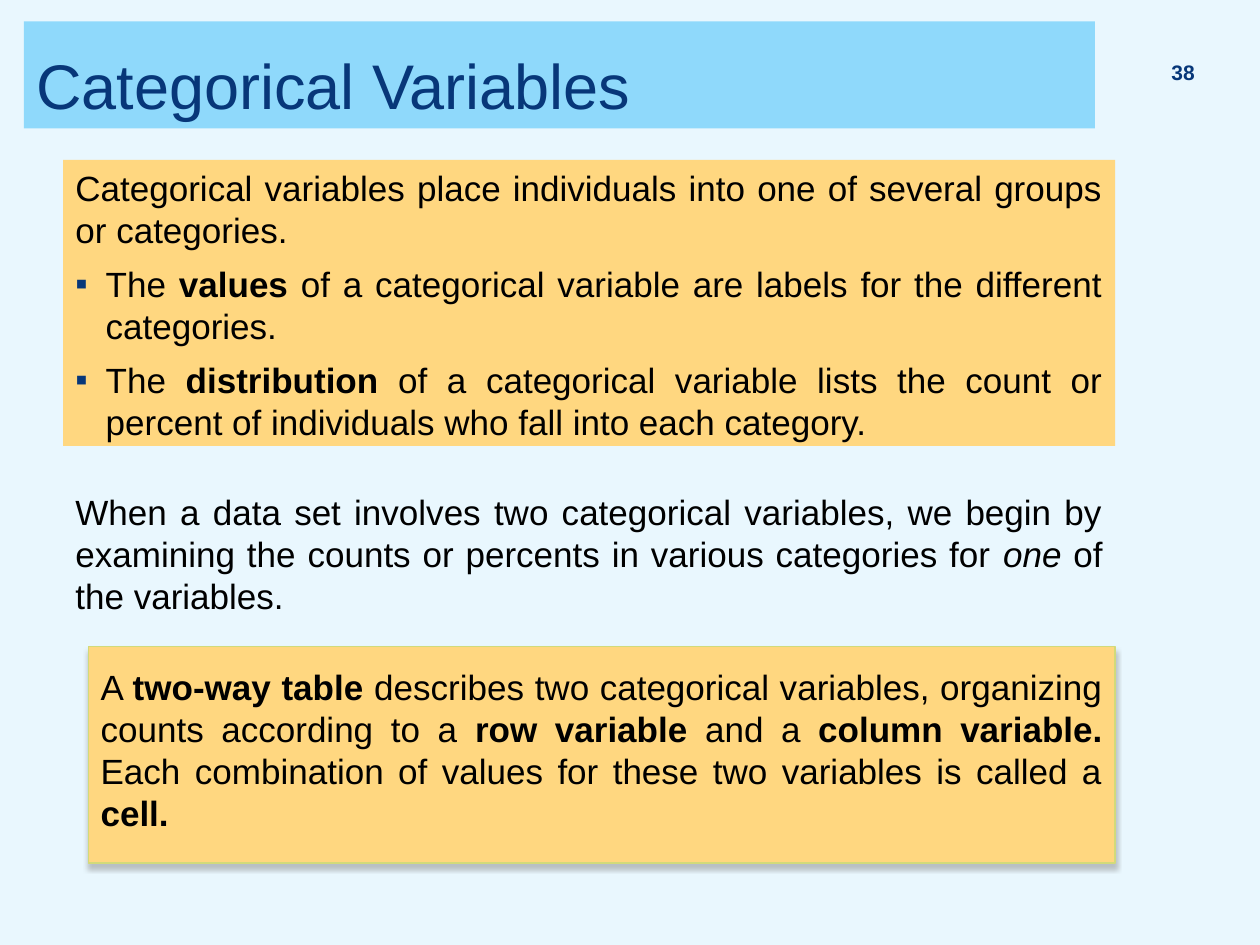
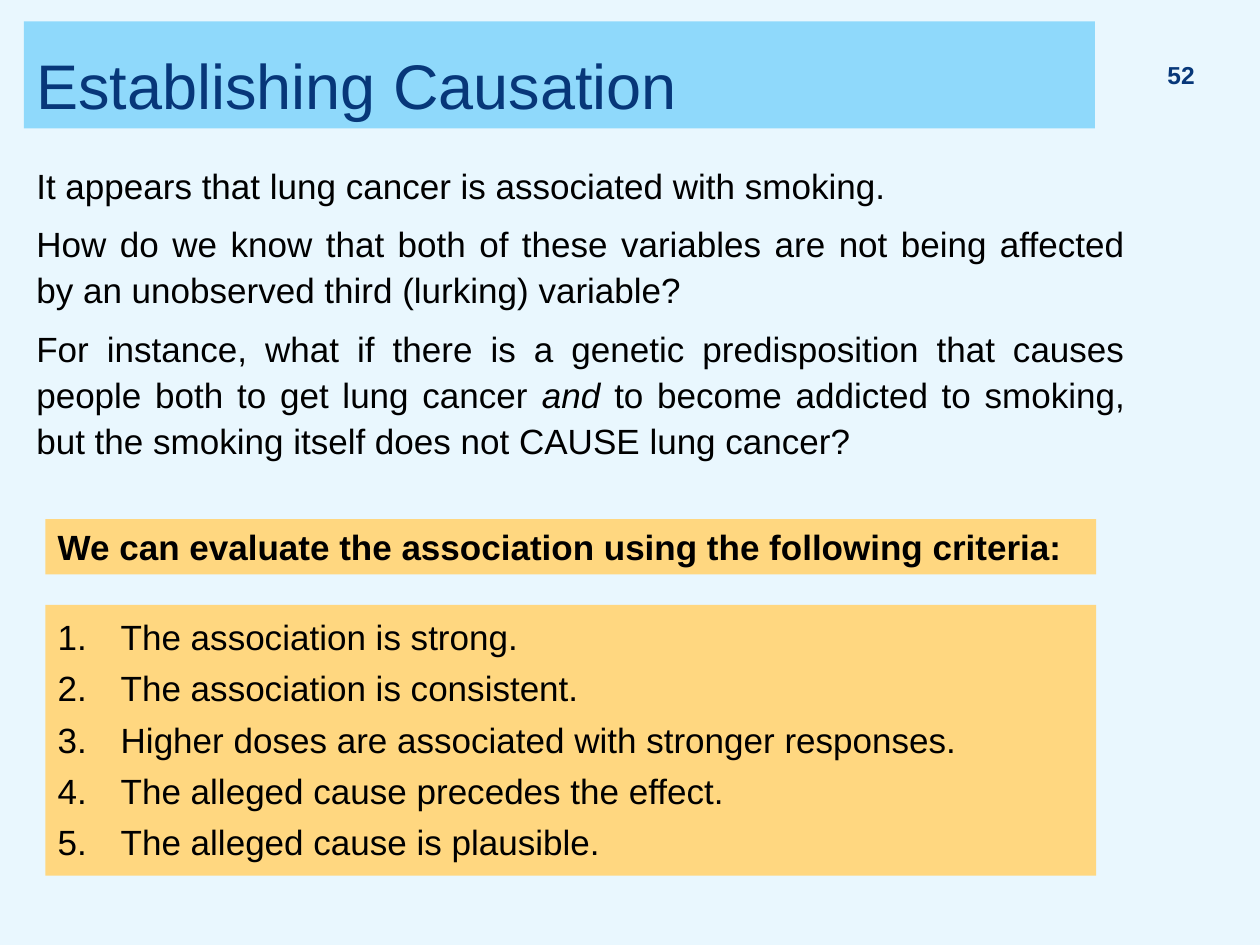
from lxml.etree import SubElement
from pptx import Presentation
from pptx.dml.color import RGBColor
from pptx.enum.shapes import MSO_SHAPE
from pptx.enum.text import MSO_ANCHOR, PP_ALIGN
from pptx.oxml.ns import qn
from pptx.util import Inches, Pt

NAVY, BLACK = "073779", "000000"
SKY, GOLD, PALE = "8FD9FB", "FFD780", "E9F7FE"
OLIVE, GREY = "D2DA7A", "808080"
JUSTIFY, LEFT, RIGHT = PP_ALIGN.JUSTIFY, PP_ALIGN.LEFT, PP_ALIGN.RIGHT


def color(value):
    """Turn a hex string into a colour."""
    return RGBColor.from_string(value)


class LectureDeck:
    """Holds the lecture style and the current slide."""

    def __init__(self):
        self.deck = Presentation()
        self.deck.slide_width, self.deck.slide_height = Inches(10), Inches(7.5)
        self.page = None

    def add_page(self, title, number, number_size=14, number_spacing=1.0):
        """Start a slide with its title band and page number."""
        self.page = self.deck.slides.add_slide(self.deck.slide_layouts[6])
        self.page.background.fill.solid()
        self.page.background.fill.fore_color.rgb = color(PALE)
        band = self.panel(0.19, 0.17, 8.5, 0.85, SKY, MSO_ANCHOR.BOTTOM)
        self.add_para(band, [title], size=36, ink=NAVY)
        corner = self.text_box(9.03, 0.39, 0.55, 0.4, MSO_ANCHOR.MIDDLE)
        self.add_para(corner, [("b", number)], RIGHT, number_size, NAVY,
                      spacing=number_spacing)

    def prepare(self, box, anchor):
        """Set wrapping and vertical anchor of a box."""
        box.text_frame.word_wrap = True
        box.text_frame.vertical_anchor = anchor
        return box

    def panel(self, left, top, width, height, fill=GOLD, anchor=MSO_ANCHOR.TOP):
        """Add a filled rectangle without outline."""
        box = self.page.shapes.add_shape(
            MSO_SHAPE.RECTANGLE, Inches(left), Inches(top), Inches(width), Inches(height))
        box.shadow.inherit = False
        box.fill.solid()
        box.fill.fore_color.rgb = color(fill)
        box.line.fill.background()
        return self.prepare(box, anchor)

    def text_box(self, left, top, width, height, anchor=MSO_ANCHOR.TOP):
        """Add a wrapping text box."""
        box = self.page.shapes.add_textbox(
            Inches(left), Inches(top), Inches(width), Inches(height))
        return self.prepare(box, anchor)

    def raise_panel(self, box):
        """Give a panel a thin outline and a soft shadow below."""
        box.line.color.rgb = color(OLIVE)
        box.line.width = Pt(0.79)
        effects = box._element.spPr.find(qn("a:effectLst"))
        shadow = SubElement(effects, qn("a:outerShdw"), blurRad=str(Pt(3)),
                            dist=str(Pt(2.4)), dir="5400000", rotWithShape="0")
        tint = SubElement(shadow, qn("a:srgbClr"), val=GREY)
        SubElement(tint, qn("a:alpha"), val="45000")

    def add_para(self, box, spans, align=LEFT, size=20, ink=BLACK,
                 spacing=1.0, before=0, after=0, mark=None):
        """Add a paragraph of plain strings and (style, text) pairs to a box."""
        frame = box.text_frame
        first = not frame.paragraphs[0].runs
        para = frame.paragraphs[0] if first else frame.add_paragraph()
        if mark:
            self.add_mark(para, mark)
        para.alignment = align
        para.line_spacing = spacing
        para.space_before = Pt(0 if first else before)
        para.space_after = Pt(after)
        for item in spans:
            style, text = ("", item) if isinstance(item, str) else item
            span = para.add_run()
            span.text = text
            span.font.name = "Arial"
            span.font.size = Pt(size)
            span.font.color.rgb = color(ink)
            span.font.bold = style == "b"
            span.font.italic = style == "i"

    def add_mark(self, para, mark):
        """Give a paragraph a hanging square bullet or number."""
        indent = Inches(0.5 if mark == "number" else 0.24)
        properties = para._p.get_or_add_pPr()
        properties.set("marL", str(indent))
        properties.set("indent", str(-indent))
        if mark == "number":
            SubElement(properties, qn("a:buFont"), typeface="Arial")
            SubElement(properties, qn("a:buAutoNum"), type="arabicPeriod")
        else:
            tint = SubElement(properties, qn("a:buClr"))
            SubElement(tint, qn("a:srgbClr"), val=NAVY)
            SubElement(properties, qn("a:buFont"), typeface="Arial")
            SubElement(properties, qn("a:buChar"), char=mark)


def categorical_variables(lecture):
    """Build the slide on categorical variables."""
    lecture.add_page("Categorical Variables", "38", 12, 0.8)
    definition = lecture.panel(0.5, 1.27, 8.35, 2.27)
    lecture.add_para(definition, ["Categorical variables place individuals into one of "
                                  "several groups or categories."], JUSTIFY)
    for term, meaning in (
        ("values", " of a categorical variable are labels for the different categories."),
        ("distribution", " of a categorical variable lists the count or percent of "
                         "individuals who fall into each category."),
    ):
        lecture.add_para(definition, ["The ", ("b", term), meaning], JUSTIFY,
                         before=7, mark="▪")
    approach = lecture.text_box(0.5, 3.84, 8.35, 1.11)
    lecture.add_para(approach, [
        "When a data set involves two categorical variables, we begin by examining "
        "the counts or percents in various categories for ",
        ("i", "one"), " of the variables."], JUSTIFY)
    two_way = lecture.panel(0.7, 5.13, 8.15, 1.72)
    lecture.raise_panel(two_way)
    two_way.text_frame.margin_top = Inches(0.15)
    lecture.add_para(two_way, [
        "A ", ("b", "two-way table "),
        "describes two categorical variables, organizing counts according to a ",
        ("b", "row variable"), " and a ", ("b", "column variable. "),
        "Each combination of values for these two variables is called a ",
        ("b", "cell.")], JUSTIFY)


def establishing_causation(lecture):
    """Build the slide on criteria for causation."""
    lecture.add_page("Establishing Causation", "52")
    question = lecture.text_box(0.19, 1.22, 8.84, 2.55)
    for align, spans in (
        (LEFT, ["It appears that lung cancer is associated with smoking."]),
        (JUSTIFY, ["How do we know that both of these variables are not being affected "
                   "by an unobserved third (lurking) variable?"]),
        (JUSTIFY, ["For instance, what if there is a genetic predisposition that causes "
                   "people both to get lung cancer ", ("i", "and"),
                   " to become addicted to smoking, but the smoking itself does not "
                   "CAUSE lung cancer?"]),
    ):
        lecture.add_para(question, spans, align, spacing=1.1, after=7)
    criteria = lecture.panel(0.36, 4.8, 8.34, 2.15)
    for criterion in (
        "The association is strong.",
        "The association is consistent.",
        "Higher doses are associated with stronger responses.",
        "The alleged cause precedes the effect.",
        "The alleged cause is plausible.",
    ):
        lecture.add_para(criteria, [criterion], spacing=1.1, after=3, mark="number")
    heading = lecture.panel(0.36, 4.12, 8.34, 0.44)
    lecture.add_para(heading, [("b", "We can evaluate the association using the "
                                     "following criteria:")])


def main():
    """Build and save both slides."""
    lecture = LectureDeck()
    categorical_variables(lecture)
    establishing_causation(lecture)
    lecture.deck.save("out.pptx")


if __name__ == "__main__":
    main()
